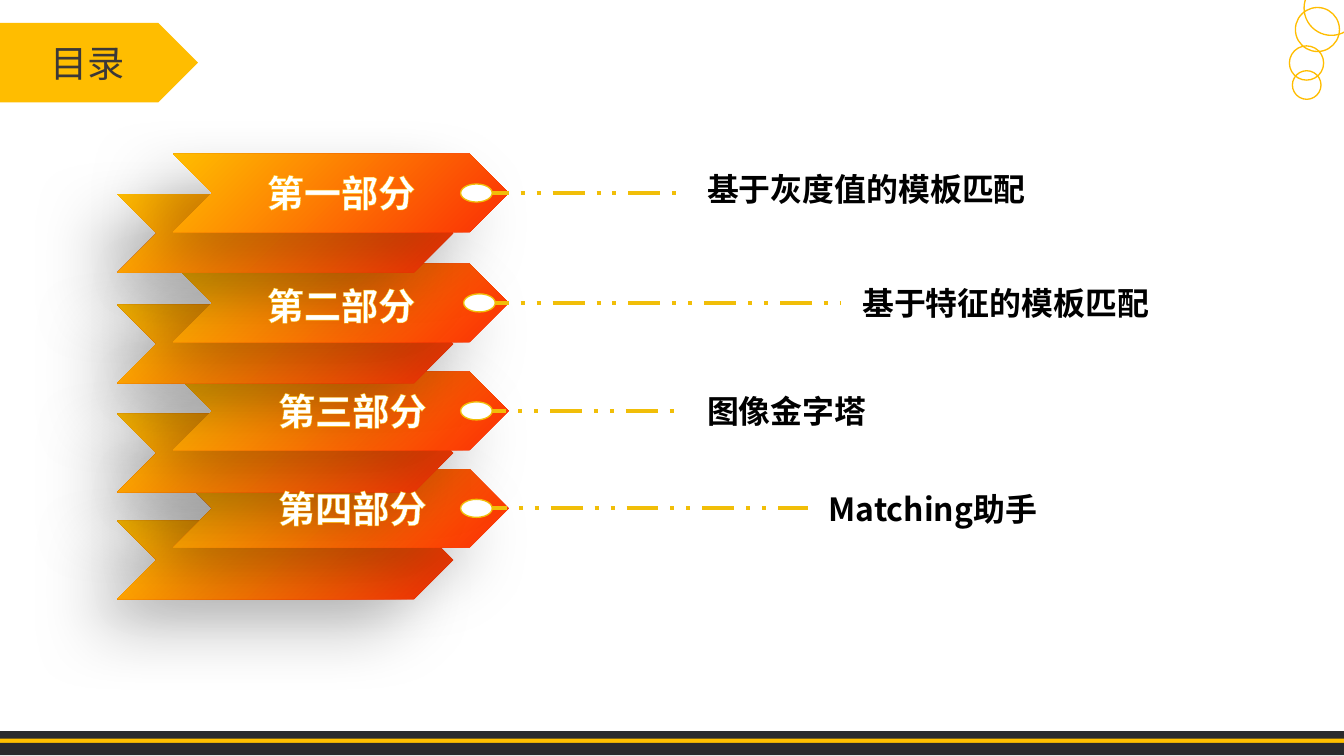
from lxml.etree import SubElement
from pptx import Presentation
from pptx.dml.color import RGBColor
from pptx.enum.dml import MSO_LINE
from pptx.enum.shapes import MSO_CONNECTOR, MSO_SHAPE as Form
from pptx.enum.text import MSO_ANCHOR, MSO_AUTO_SIZE as Fit, PP_ALIGN as Align
from pptx.oxml import parse_xml
from pptx.oxml.ns import nsdecls, qn
from pptx.util import Cm, Pt

WIDE, HIGH = 35.71, 20.09
FONT = "Noto Sans CJK SC"
HUES = {"gold": "FFBD00", "red": "FB2E05", "dark": "2A2B2D", "stripe": "FFC000",
        "rule": "F1BE08", "white": "FFFFFF", "black": "000000", "title": "3B3838"}

TITLE = "目录"
# label, its left and top; topic, its left, top and width
PARTS = [
    (("第一部分", 6.71, 4.39), ("基于灰度值的模板匹配", 18.54, 4.39, 14.83)),
    (("第二部分", 6.71, 7.39), ("基于特征的模板匹配", 22.66, 7.42, 11.68)),
    (("第三部分", 7.01, 10.19), ("图像金字塔", 18.54, 10.29, 14.02)),
    (("第四部分", 7.01, 12.78), ("Matching助手", 21.77, 12.88, 11.35)),
]
# top of the front and back ribbon; dot left, rule start and end
RIBBONS = [
    (4.09, 5.16, 12.24, 12.67, 18.11),
    (7.01, 8.1, 12.32, 12.67, 22.35),
    (9.88, 11, 12.24, 12.6, 18.11),
    (12.47, 13.84, 12.24, 12.62, 21.46),
]
BANDS = [(19.43, 0.23, "dark"), (19.63, 0.23, "stripe"), (19.74, 0.33, "dark")]
RINGS = [(34.65, -0.51, 1.45), (34.42, 0.2, 1.17), (34.26, 1.22, 0.91), (34.34, 1.88, 0.76)]
FRONT, BACK = 4.6, 3.12
LONG, TALL = 8.92, 2.08
DOT_W, DOT_H = 0.84, 0.48


def hue(name):
    return RGBColor.from_string(HUES[name])


def draw(home, form, box, fill=None, line=None):
    shape = home.add_shape(form, *map(Cm, box))
    shape.shadow.inherit = False
    if fill:
        shape.fill.solid()
        shape.fill.fore_color.rgb = hue(fill)
    else:
        shape.fill.background()
    if line:
        shape.line.color.rgb = hue(line)
        shape.line.width = Pt(1)
    else:
        shape.line.fill.background()
    return shape


def ribbon(home, left, top):
    """Chevron with a gradient from its top left corner and a soft shadow."""
    shape = draw(home, Form.CHEVRON, (left, top, LONG, TALL))
    shape.fill.gradient()
    for stop, name in zip(shape.fill.gradient_stops, ("gold", "red")):
        stop.color.rgb = hue(name)
    props = shape.element.spPr
    grad = props.find(qn("a:gradFill"))
    grad.replace(grad.find(qn("a:lin")), parse_xml(
        f'<a:path {nsdecls("a")} path="circle">'
        '<a:fillToRect r="100000" b="100000"/></a:path>'))
    props.find(qn("a:effectLst")).append(parse_xml(
        f'<a:outerShdw {nsdecls("a")} blurRad="{Pt(52)}" dist="{Pt(34)}" '
        f'dir="{140 * 60000}" algn="tr" rotWithShape="0">'
        f'<a:srgbClr val="{HUES["black"]}"><a:alpha val="25000"/></a:srgbClr>'
        '</a:outerShdw>'))


def pointer(home, mid, left, start, end):
    """Dashed rule that leaves a white dot."""
    group = home.add_group_shape().shapes
    rule = group.add_connector(MSO_CONNECTOR.STRAIGHT, Cm(start), Cm(mid), Cm(end), Cm(mid))
    rule.line.color.rgb = hue("rule")
    rule.line.width = Pt(3)
    rule.line.dash_style = MSO_LINE.DASH_DOT_DOT
    SubElement(rule.element.spPr, qn("a:effectLst"))
    draw(group, Form.OVAL, (left, mid - DOT_H / 2, DOT_W, DOT_H), "white", "rule")


def write(shape, text, size, color, bold=True, align=Align.LEFT, wrap=True, edge=None):
    frame = shape.text_frame
    frame.word_wrap = wrap
    frame.auto_size = Fit.SHAPE_TO_FIT_TEXT
    frame.vertical_anchor = MSO_ANCHOR.TOP
    para = frame.paragraphs[0]
    para.alignment = align
    run = para.add_run()
    run.text = text
    font = run.font
    font.size, font.bold, font.name = Pt(size), bold, FONT
    font.color.rgb = hue(color)
    props = run._r.get_or_add_rPr()
    SubElement(props, qn("a:ea"), typeface=FONT)
    if edge:
        props.insert(0, parse_xml(
            f'<a:ln {nsdecls("a")} w="{Pt(0.8)}"><a:solidFill>'
            f'<a:srgbClr val="{HUES[edge]}"/></a:solidFill></a:ln>'))


def main():
    deck = Presentation()
    deck.slide_width, deck.slide_height = Cm(WIDE), Cm(HIGH)
    slide = deck.slides.add_slide(deck.slide_layouts[5])
    home = slide.shapes

    for top, tall, fill in BANDS:
        draw(home, Form.RECTANGLE, (0, top, WIDE, tall), fill)
    draw(home, Form.PENTAGON, (0, 0.61, 5.26, 2.11), "gold")
    rings = home.add_group_shape().shapes
    for left, top, size in RINGS:
        draw(rings, Form.OVAL, (left, top, size, size), line="gold")

    for front, back, *_ in reversed(RIBBONS):
        ribbon(home, BACK, back)
        ribbon(home, FRONT, front)
    for front, _, *ends in RIBBONS:
        pointer(home, front + TALL / 2, *ends)

    for (label, left, top), (topic, x, y, wide) in PARTS:
        box = home.add_textbox(Cm(left), Cm(top), Cm(4.7), Cm(1.45))
        write(box, label, 28, "white", align=Align.CENTER, edge="gold")
        box = home.add_textbox(Cm(x), Cm(y), Cm(wide), Cm(1.27))
        write(box, topic, 24, "black")

    title = home.title
    title.left, title.top, title.width, title.height = map(Cm, (1.09, 0.94, 2.51, 1.45))
    write(title, TITLE, 28, "title", bold=False, wrap=False)
    title.element.getparent().append(title.element)  # in front of the gold tag

    deck.save("out.pptx")


if __name__ == "__main__":
    main()
